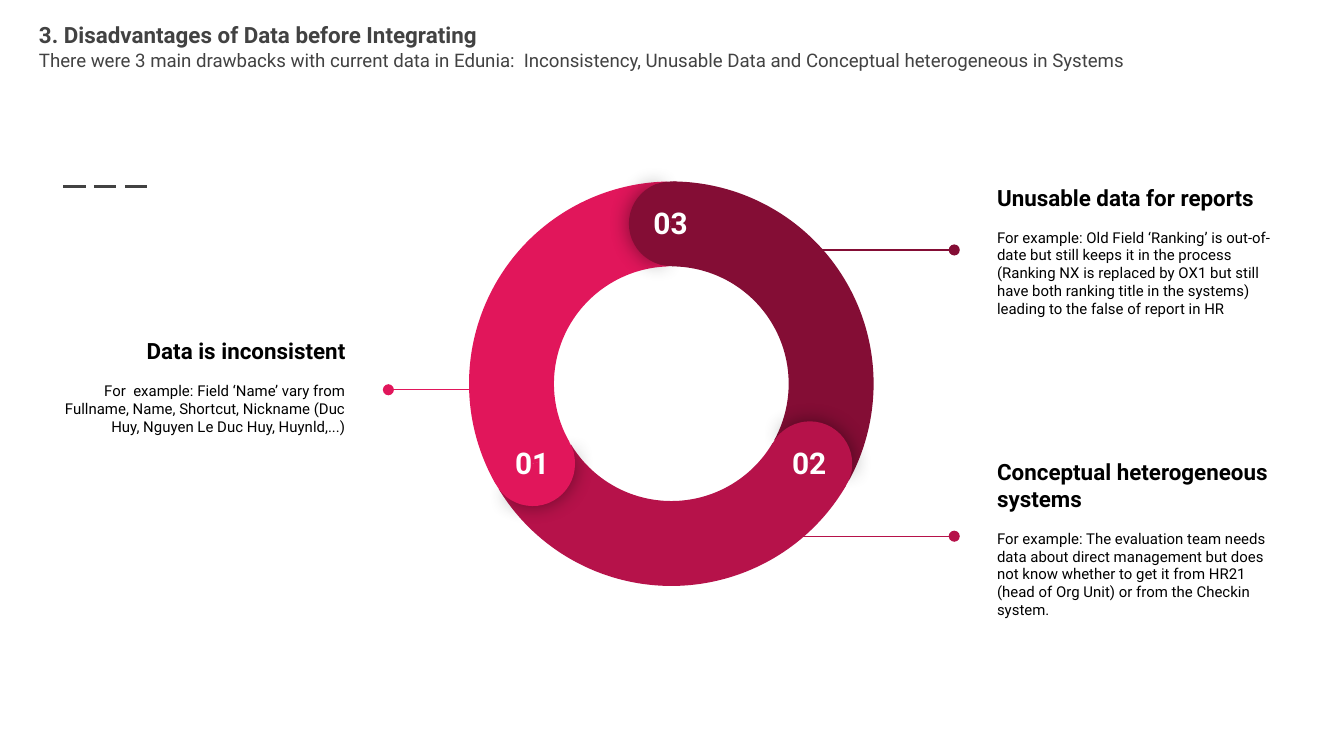
import math
from dataclasses import dataclass

import pptx
import pptx.dml.color
import pptx.enum.dml
import pptx.enum.shapes
import pptx.enum.text
import pptx.oxml
import pptx.util
from pptx.oxml.ns import qn

Inches = pptx.util.Inches
Pt = pptx.util.Pt
SHAPE = pptx.enum.shapes.MSO_SHAPE
ALIGN = pptx.enum.text.PP_ALIGN
ANCHOR = pptx.enum.text.MSO_ANCHOR


@dataclass(frozen=True)
class Theme:
    font: str = "Roboto"
    ink: str = "000000"
    gray: str = "424242"
    white: str = "FFFFFF"
    pink: str = "E1165B"
    rose: str = "B6124A"
    wine: str = "840D35"
    head: float = 12
    sub: float = 10
    body: float = 8
    mark: float = 16


T = Theme()


def rgb(code):
    return pptx.dml.color.RGBColor.from_string(code)


def add_xml(parent, tag, inner="", **attrs):
    """Append one DrawingML element to parent."""
    vals = " ".join(f'{key}="{val}"' for key, val in attrs.items())
    space = "http://schemas.openxmlformats.org/drawingml/2006/main"
    parent.append(pptx.oxml.parse_xml(
        f'<a:{tag} xmlns:a="{space}" {vals}>{inner}</a:{tag}>'))


def write(frame, text, size=T.body, color=T.ink, bold=False,
          align=ALIGN.LEFT, before=0, after=0):
    """Put text in the frame's first paragraph if empty, else in a new one."""
    para = frame.paragraphs[0]
    if para.runs:
        para = frame.add_paragraph()
    para.alignment = align
    para.space_before, para.space_after = Pt(before), Pt(after)
    run = para.add_run()
    run.text = text
    font = run.font
    font.name, font.size, font.bold = T.font, Pt(size), bold
    font.color.rgb = rgb(color)


def set_frame(frame, anchor=ANCHOR.TOP):
    frame.word_wrap = True
    frame.auto_size = pptx.enum.text.MSO_AUTO_SIZE.NONE
    frame.vertical_anchor = anchor
    frame.margin_left = frame.margin_right = Inches(0.1)
    frame.margin_top = frame.margin_bottom = Inches(0.1)
    return frame


def text_box(slide, box, anchor=ANCHOR.TOP):
    shape = slide.shapes.add_textbox(*map(Inches, box))
    return set_frame(shape.text_frame, anchor)


def draw_line(slide, start, end, color, width, dash=None, dot=False):
    line = slide.shapes.add_connector(
        pptx.enum.shapes.MSO_CONNECTOR.STRAIGHT, *map(Inches, start + end))
    line.line.color.rgb = rgb(color)
    line.line.width = Pt(width)
    if dash:
        line.line.dash_style = dash
    props = line._element.spPr
    if dot:
        add_xml(props.find(qn("a:ln")), "tailEnd", type="oval")
    add_xml(props, "effectLst")


def draw_part(slide, kind, box, turn, adjust, color, glow=False):
    """One rotated piece of the ring, with a soft shadow if glow is set."""
    part = slide.shapes.add_shape(kind, *map(Inches, box))
    part.rotation = turn % 360
    for i, val in enumerate(adjust):
        part.adjustments[i] = val
    part.fill.solid()
    part.fill.fore_color.rgb = rgb(color)
    part.line.fill.background()
    part.shadow.inherit = False
    if glow:
        add_xml(part._element.spPr.find(qn("a:effectLst")), "outerShdw",
                '<a:srgbClr val="000000"><a:alpha val="43000"/></a:srgbClr>',
                blurRad=Pt(11.2), dist=0, dir=0, algn="ctr", rotWithShape=0)


def add_title(slide, box, head, sub):
    title = slide.shapes.title
    title.left, title.top, title.width, title.height = map(Inches, box)
    frame = set_frame(title.text_frame)
    write(frame, head, size=T.head, color=T.gray, bold=True)
    write(frame, sub, size=T.sub, color=T.gray)


def add_note(slide, box, head, body, color, align, start, end):
    """Heading and example text; the pointer's ends are offsets in the box."""
    left, top = box[:2]
    frame = text_box(slide, box, ANCHOR.MIDDLE)
    write(frame, head, size=T.head, bold=True, align=align)
    write(frame, body, align=align, before=9.4, after=16)
    draw_line(slide, (left + start[0], top + start[1]),
              (left + end[0], top + end[1]), color, 0.75, dot=True)


def add_ring(slide, box, parts):
    left, top, size, _ = box
    mid_x, mid_y = left + size / 2, top + size / 2
    cap = 0.63
    reach = (size - cap) / 2
    step = 360 / len(parts)

    # Arcs
    for i, (_, color) in enumerate(parts):
        draw_part(slide, SHAPE.BLOCK_ARC, box, (i + 0.5) * step,
                  (126.22, 197.2, 0.21), color)

    # Round ends: the shadowed half leads, the plain half hides its seam
    spots = []
    for i, (mark, color) in enumerate(parts):
        turn = i * step
        x = mid_x + reach * math.sin(math.radians(turn)) - cap / 2
        y = mid_y - reach * math.cos(math.radians(turn)) - cap / 2
        spot = (x, y, cap, cap)
        draw_part(slide, SHAPE.PIE, spot, turn + 0.7, (61.9, 149.96),
                  color, glow=True)
        draw_part(slide, SHAPE.PIE, spot, turn + 180, (40.28, 171.84), color)
        spots.append((mark, x, y))

    # Numbers
    for mark, x, y in spots:
        frame = text_box(slide, (x + 0.03, y + 0.07, 0.56, 0.29))
        write(frame, mark, size=T.mark, color=T.white, bold=True,
              align=ALIGN.CENTER)


def main():
    deck = pptx.Presentation()
    deck.slide_width = Inches(10)
    deck.slide_height = deck.slide_width * 9 // 16
    slide = deck.slides.add_slide(deck.slide_layouts[5])

    # Accent dashes and title
    draw_line(slide, (0.47, 1.39), (1.14, 1.39), T.gray, 1.5,
              dash=pptx.enum.dml.MSO_LINE.LONG_DASH)
    add_title(slide, (0.19, 0.06, 8.86, 0.57),
              "3. Disadvantages of Data before Integrating",
              "There were 3 main drawbacks with current data in Edunia:  "
              "Inconsistency, Unusable Data and Conceptual heterogeneous "
              "in Systems")

    # Notes
    wide, high = 2.32, 1.41
    add_note(slide, (0.35, 2.17, wide, high), "Data is inconsistent",
             "For  example: Field ‘Name’ vary from Fullname, Name, Shortcut, "
             "Nickname (Duc Huy, Nguyen Le Duc Huy, Huynld,...)",
             T.pink, ALIGN.RIGHT, (3.23, 0.73), (2.54, 0.73))
    add_note(slide, (7.32, 1.16, wide, high), "Unusable data for reports",
             "For example: Old Field ‘Ranking’ is out-of-date but still keeps "
             "it in the process (Ranking NX is replaced by OX1 but still have "
             "both ranking title in the systems) leading to the false of "
             "report in HR",
             T.wine, ALIGN.LEFT, (-1.62, 0.7), (-0.22, 0.7))
    add_note(slide, (7.32, 3.3, wide, high),
             "Conceptual heterogeneous systems",
             "For example: The evaluation team needs data about direct "
             "management but does not know whether to get it from HR21 (head "
             "of Org Unit) or from the Checkin system.",
             T.rose, ALIGN.LEFT, (-1.62, 0.69), (-0.22, 0.69))

    # Ring, clockwise from the top
    add_ring(slide, (3.49, 1.35, 3.01, 3.01),
             [("03", T.wine), ("02", T.rose), ("01", T.pink)])

    deck.save("out.pptx")


if __name__ == "__main__":
    main()
